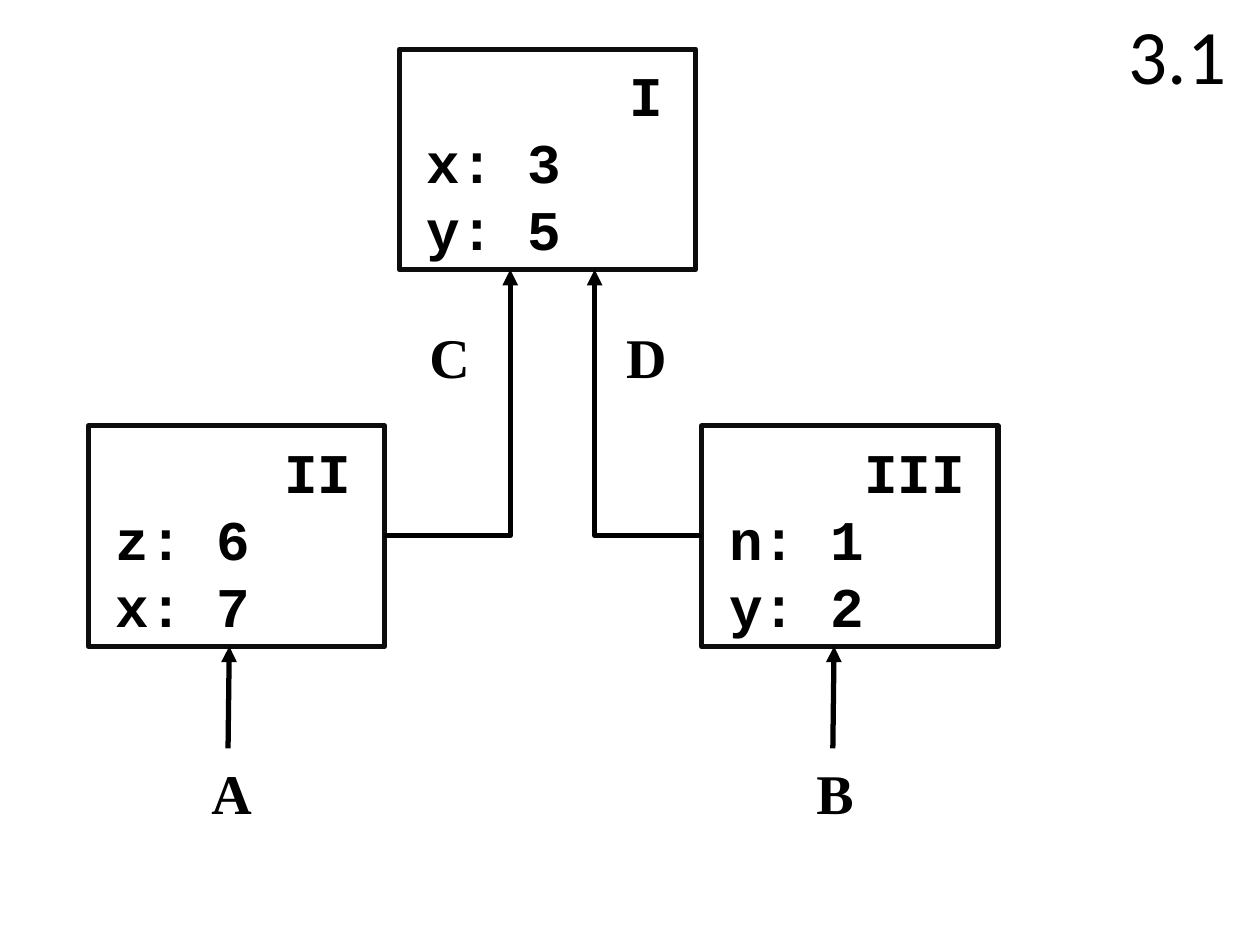
from dataclasses import dataclass

from lxml.etree import SubElement
from pptx import Presentation
from pptx.dml.color import RGBColor
from pptx.enum.shapes import MSO_CONNECTOR, MSO_SHAPE
from pptx.enum.text import MSO_ANCHOR, MSO_AUTO_SIZE, PP_ALIGN
from pptx.oxml.ns import qn
from pptx.util import Inches, Pt


@dataclass(frozen=True)
class Theme:
    ink: RGBColor = RGBColor(0, 0, 0)
    frame: RGBColor = RGBColor(0x0D, 0x0D, 0x0D)
    title_font: str = "Calibri"
    code_font: str = "Courier New"
    label_font: str = "Times New Roman"
    title_size: Pt = Pt(44)
    text_size: Pt = Pt(32)
    line_width: Pt = Pt(3)


class EnvironmentDiagram:
    FRAME_WIDTH, FRAME_HEIGHT = 2.35, 1.75

    def __init__(self, slide, theme):
        self.slide = slide
        self.theme = theme

    def style(self, paragraph, name, size, bold):
        font = paragraph.font
        font.name, font.size, font.bold = name, size, bold
        font.color.rgb = self.theme.ink

    def title(self, text, left, top, width, height):
        shape = self.slide.shapes.title
        shape.left, shape.top = Inches(left), Inches(top)
        shape.width, shape.height = Inches(width), Inches(height)
        shape.text_frame.text = text
        shape.text_frame.vertical_anchor = MSO_ANCHOR.MIDDLE
        paragraph = shape.text_frame.paragraphs[0]
        paragraph.alignment = PP_ALIGN.CENTER
        self.style(paragraph, self.theme.title_font, self.theme.title_size, False)

    def text(self, lines, left, top, width, height, font_name):
        box = self.slide.shapes.add_textbox(
            Inches(left), Inches(top), Inches(width), Inches(height))
        text_frame = box.text_frame
        text_frame.word_wrap = True
        text_frame.auto_size = MSO_AUTO_SIZE.SHAPE_TO_FIT_TEXT
        text_frame.text = "\n".join(lines)
        for paragraph in text_frame.paragraphs:
            self.style(paragraph, font_name, self.theme.text_size, True)
        return text_frame

    def label(self, letter, left, top):
        self.text([letter], left, top, 0.81, 0.64, self.theme.label_font)

    def frame(self, numeral, bindings, left, top):
        shape = self.slide.shapes.add_shape(
            MSO_SHAPE.RECTANGLE, Inches(left), Inches(top),
            Inches(self.FRAME_WIDTH), Inches(self.FRAME_HEIGHT))
        shape.shadow.inherit = False
        shape.fill.background()
        shape.line.color.rgb = self.theme.frame
        shape.line.width = self.theme.line_width
        text_frame = self.text([numeral, *bindings], left + 0.12, top + 0.04,
                               2.11, 1.72, self.theme.code_font)
        text_frame.margin_right = Inches(0.14)
        text_frame.paragraphs[0].alignment = PP_ALIGN.RIGHT

    def arrow(self, start, end, bent=False):
        kind = MSO_CONNECTOR.ELBOW if bent else MSO_CONNECTOR.STRAIGHT
        connector = self.slide.shapes.add_connector(
            kind, *(Inches(value) for value in (*start, *end)))
        connector.line.color.rgb = self.theme.ink
        connector.line.width = self.theme.line_width
        properties = connector._element.spPr
        if bent:  # a single corner
            properties.find(qn("a:prstGeom")).set("prst", "bentConnector2")
        SubElement(properties.find(qn("a:ln")), qn("a:tailEnd"), type="triangle")
        SubElement(properties, qn("a:effectLst"))


def main():
    presentation = Presentation()
    presentation.slide_width, presentation.slide_height = Inches(10), Inches(7.5)
    slide = presentation.slides.add_slide(presentation.slide_layouts[5])
    diagram = EnvironmentDiagram(slide, Theme())
    diagram.title("3.1", 8.67, 0, 1.35, 0.85)

    # Frames: the enclosing one above its two children
    parent_top, child_top = 0.39, 3.38
    left_child, right_child = 0.7, 5.57
    diagram.frame("I", ["x: 3", "y: 5"], 3.17, parent_top)
    diagram.frame("II", ["z: 6", "x: 7"], left_child, child_top)
    diagram.frame("III", ["n: 1", "y: 2"], right_child, child_top)

    # Links from the children to the enclosing frame
    parent_bottom = parent_top + diagram.FRAME_HEIGHT
    left_child_edge = left_child + diagram.FRAME_WIDTH
    for letter, edge, target, label_left in (
            ("C", left_child_edge, 4.05, 3.31),
            ("D", right_child, 4.72, 4.87)):
        diagram.arrow((edge, 4.25), (target, parent_bottom), bent=True)
        diagram.label(letter, label_left, 2.51)

    # Pointers into the children from below
    child_bottom = child_top + diagram.FRAME_HEIGHT
    for letter, x in (("A", 1.81), ("B", 6.61)):
        diagram.arrow((x, 5.94), (x + 0.01, child_bottom))
        diagram.label(letter, x - 0.23, 5.97)

    presentation.save("out.pptx")


if __name__ == "__main__":
    main()
